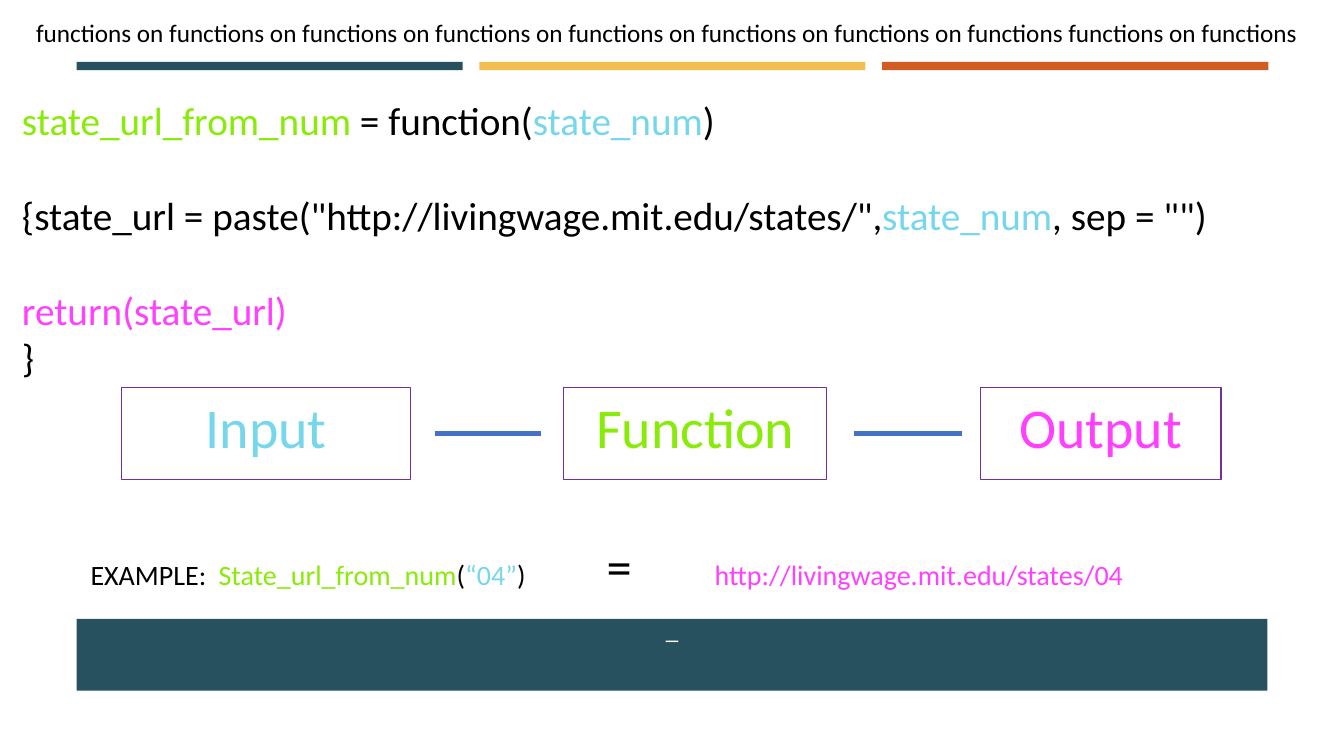
import pptx
import pptx.dml.color
import pptx.enum.shapes
import pptx.enum.text
import pptx.oxml
import pptx.util
from lxml import etree
from pptx.oxml.ns import qn

TEAL, GOLD, RUST = "27515E", "F2BF4E", "D35C20"
LIME, SKY, PINK = "88EB08", "76D6EB", "FF40FF"
BLACK, WHITE, PURPLE, BLUE = "000000", "FFFFFF", "7030A0", "4472C4"
CENTER = pptx.enum.text.PP_ALIGN.CENTER


def color(hex_code):
    return pptx.dml.color.RGBColor.from_string(hex_code)


def write(paragraph, text, size=18, ink=BLACK, font="Calibri"):
    run = paragraph.add_run()
    run.text = text
    run.font.name = font
    run.font.size = pptx.util.Pt(size)
    run.font.color.rgb = color(ink)


class Slide:
    """Places elements by percent of the slide's width and height."""

    def __init__(self, deck):
        self.deck = deck
        self.shapes = deck.slides.add_slide(deck.slide_layouts[6]).shapes

    def x(self, share):
        return round(self.deck.slide_width * share / 100)

    def y(self, share):
        return round(self.deck.slide_height * share / 100)

    def place(self, left, top, width, height):
        return self.x(left), self.y(top), self.x(width), self.y(height)

    def rect(self, *area, fill=None, line=None):
        kind = pptx.enum.shapes.MSO_SHAPE.RECTANGLE
        rect = self.shapes.add_shape(kind, *self.place(*area))
        rect.shadow.inherit = False
        if fill:
            rect.fill.solid()
            rect.fill.fore_color.rgb = color(fill)
        else:
            rect.fill.background()
        if line:
            rect.line.color.rgb = color(line)
            rect.line.width = pptx.util.Pt(0.75)
        else:
            rect.line.fill.background()
        return rect

    def label(self, rect, text, anchor, **style):
        rect.text_frame.vertical_anchor = anchor
        paragraph = rect.text_frame.paragraphs[0]
        paragraph.alignment = CENTER
        write(paragraph, text, **style)

    def text(self, *area, lines, size, tabs=()):
        """Each line is (space before in points, [(text, format), ...])."""
        frame = self.shapes.add_textbox(*self.place(*area)).text_frame
        frame.word_wrap = True
        for index, (gap, parts) in enumerate(lines):
            paragraph = frame.add_paragraph() if index else frame.paragraphs[0]
            if gap:
                paragraph.space_before = pptx.util.Pt(gap)
            if tabs:
                stops = etree.SubElement(paragraph._p.get_or_add_pPr(), qn("a:tabLst"))
                for stop in tabs:
                    etree.SubElement(stops, qn("a:tab"), pos=str(self.x(stop)), algn="l")
            for text, style in parts:
                write(paragraph, text, **{"size": size, **style})

    def link(self, start, end, level):
        kind = pptx.enum.shapes.MSO_CONNECTOR.STRAIGHT
        link = self.shapes.add_connector(
            kind, self.x(start), self.y(level), self.x(end), self.y(level))
        link.line.color.rgb = color(BLUE)
        link.line.width = pptx.util.Pt(3.75)
        etree.SubElement(link._element.spPr, qn("a:effectLst"))


def main():
    deck = pptx.Presentation()
    deck.slide_width = pptx.util.Inches(13.33)
    deck.slide_height = pptx.util.Inches(7.5)
    slide = Slide(deck)
    anchors = pptx.enum.text.MSO_ANCHOR

    # Footer band, turned upside down
    footer = slide.rect(5.7, 81.87, 88.6, 9.47, fill=TEAL)
    footer.rotation = 180
    slide.label(footer, "_", anchors.MIDDLE, ink=WHITE)

    # Title and its three-colour rule
    for column, accent in enumerate((TEAL, GOLD, RUST)):
        slide.rect(5.7 + 29.97 * column, 8.2, 28.73, 1.07, fill=accent)
    title = "functions on " * 7 + "functions functions on functions"
    slide.text(1.95, 1.6, 96.1, 5.33, lines=[(0, [(title, {})])], size=18)

    # Function definition
    blank_line = 34
    definition = [
        (0, [("state_url_from_num", {"ink": LIME}), (" = function(", {}),
             ("state_num", {"ink": SKY}), (")", {})]),
        (blank_line, [('{state_url = paste("http://livingwage.mit.edu/states/",', {}),
                      ("state_num", {"ink": SKY}), (', sep = "")', {})]),
        (blank_line, [("return(state_url)", {"ink": PINK})]),
        (0, [("}", {})]),
    ]
    slide.text(0.9, 12.13, 98.12, 39.07, lines=definition, size=28)

    # Input, function, output
    stages = [("Input", SKY, 9.08, 21.46),
              ("Function", LIME, 41.94, 19.58),
              ("Output", PINK, 72.92, 17.93)]
    for stage, ink, left, width in stages:
        box = slide.rect(left, 51.2, width, 12.27, line=PURPLE)
        slide.label(box, stage, anchors.TOP, size=40, ink=ink)
    for start, end in ((32.33, 40.29), (63.54, 71.57)):
        slide.link(start, end, 57.33)

    # Worked example, aligned on tab stops
    example = [
        ("EXAMPLE:\t", {}), ("State_url_from_num", {"ink": LIME}), ("(", {}),
        ("“04”", {"ink": SKY}), (")\t", {}), ("=\t", {"size": 36}),
        ("http://livingwage.mit.edu/states/04", {"ink": PINK}),
    ]
    slide.text(6, 70.13, 81.47, 9.47, lines=[(0, example)], size=20,
               tabs=(9.53, 38.4, 46.44))

    deck.save("out.pptx")


if __name__ == "__main__":
    main()
